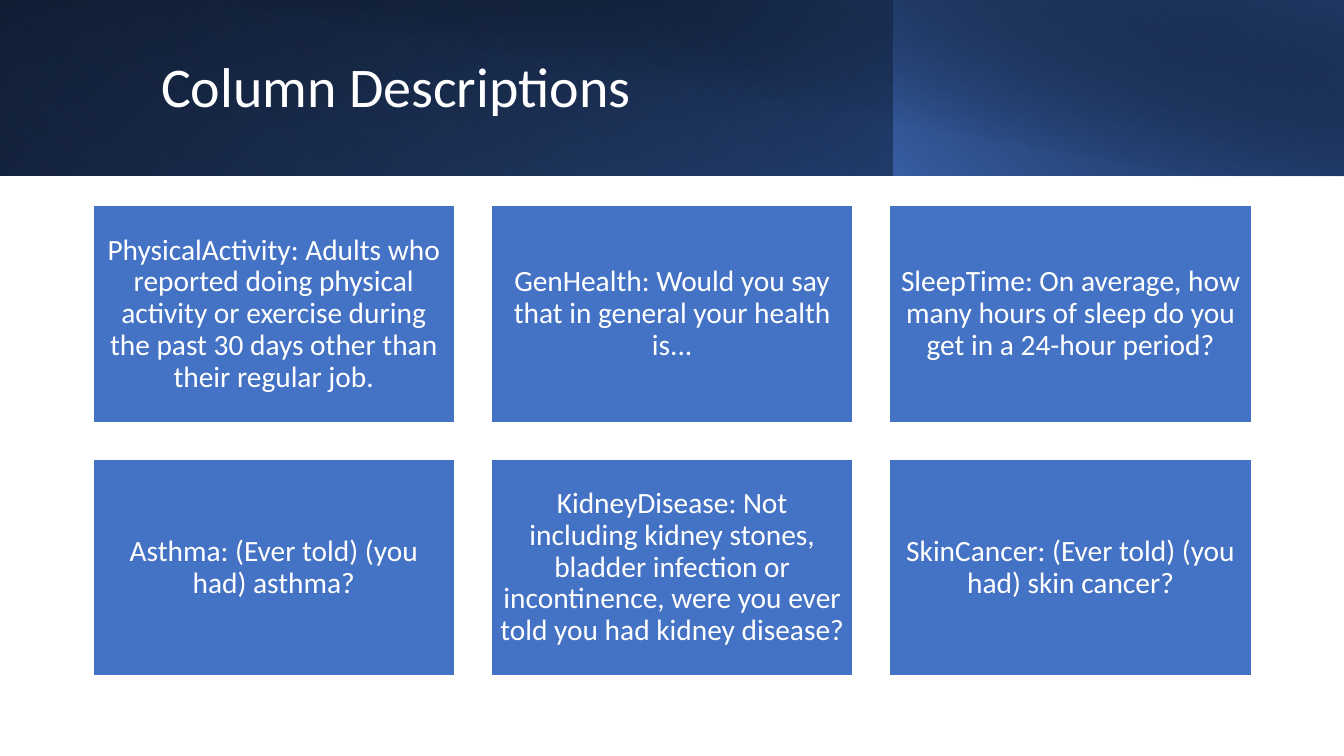
"""Builds the Column Descriptions slide: a gradient banner above six description cards."""
import pptx
import pptx.dml.color
import pptx.enum.shapes
import pptx.enum.text
import pptx.oxml
import pptx.oxml.ns
import pptx.util

Cm = pptx.util.Cm
RGBColor = pptx.dml.color.RGBColor
RECTANGLE = pptx.enum.shapes.MSO_SHAPE.RECTANGLE
ALIGN = pptx.enum.text.PP_ALIGN

WHITE = RGBColor(0xFF, 0xFF, 0xFF)
BLACK = RGBColor(0x00, 0x00, 0x00)
BLUE = RGBColor(0x44, 0x72, 0xC4)
DEEP_BLUE = RGBColor(0x2F, 0x55, 0x97)
NAVY = RGBColor(0x20, 0x38, 0x64)


def add_banner_layer(left, width, height, rotation, flipped, angle, stops):
    layer = slide.shapes.add_shape(RECTANGLE, Cm(left), 0, Cm(width), Cm(height))
    layer.shadow.inherit = False
    layer.line.fill.background()
    layer.rotation = rotation
    if flipped:
        layer._element.spPr.find(pptx.oxml.ns.qn("a:xfrm")).set("flipH", "1")
    layer.fill.gradient()
    layer.fill.gradient_angle = 360 - angle
    for stop, (position, color, opacity) in zip(layer.fill.gradient_stops, stops):
        stop.position = position
        stop.color.rgb = color
        tint = stop._gs.find(pptx.oxml.ns.qn("a:srgbClr"))
        alpha = tint.makeelement(pptx.oxml.ns.qn("a:alpha"), {"val": str(opacity * 1000)})
        tint.append(alpha)


def write_text(frame, text, size, alignment):
    frame.word_wrap = True
    frame.vertical_anchor = pptx.enum.text.MSO_ANCHOR.MIDDLE
    frame.text = text
    paragraph = frame.paragraphs[0]
    paragraph.alignment = alignment
    paragraph.line_spacing = 0.9
    font = paragraph.runs[0].font
    font.name = "Calibri"
    font.size = pptx.util.Pt(size)
    font.color.rgb = WHITE


deck = pptx.Presentation()
deck.slide_width = Cm(33.87)
deck.slide_height = Cm(19.05)
slide = deck.slides.add_slide(deck.slide_layouts[6])

banner_layers = [
    (0, 33.87, 4.43, 0, True, 140, [(0, BLACK, 100), (1, DEEP_BLUE, 100)]),
    (0, 22.54, 4.43, 180, True, 230, [(0.2, BLUE, 0), (1, NAVY, 55)]),
    (22.53, 11.34, 4.43, 0, True, 220, [(0, BLUE, 66), (1, BLACK, 30)]),
    (1.27, 32.6, 4.44, 0, False, 280, [(0.5, BLACK, 0), (0.99, NAVY, 52)]),
]
for banner_layer in banner_layers:
    add_banner_layer(*banner_layer)

title = slide.shapes.add_textbox(Cm(3.81), Cm(0.81), Cm(27.48), Cm(2.87))
write_text(title.text_frame, "Column Descriptions", 40, ALIGN.LEFT)

descriptions = [
    "PhysicalActivity: Adults who reported doing physical activity or exercise "
    "during the past 30 days other than their regular job.",
    "GenHealth: Would you say that in general your health is...",
    "SleepTime: On average, how many hours of sleep do you get in a 24-hour period?",
    "Asthma: (Ever told) (you had) asthma?",
    "KidneyDisease: Not including kidney stones, bladder infection or incontinence, "
    "were you ever told you had kidney disease?",
    "SkinCancer: (Ever told) (you had) skin cancer?",
]
CARD_WIDTH, CARD_HEIGHT, GAP = 9.12, 5.47, 0.92
for index, description in enumerate(descriptions):
    row, column = divmod(index, 3)
    card = slide.shapes.add_shape(
        RECTANGLE,
        Cm(2.34 + column * (CARD_WIDTH + GAP)),
        Cm(5.18 + row * (CARD_HEIGHT + GAP)),
        Cm(CARD_WIDTH),
        Cm(CARD_HEIGHT),
    )
    card.shadow.inherit = False
    card.fill.solid()
    card.fill.fore_color.rgb = BLUE
    card.line.color.rgb = WHITE
    card.line.width = pptx.util.Pt(1)
    frame = card.text_frame
    frame.margin_left = frame.margin_right = Cm(0.22)
    frame.margin_top = frame.margin_bottom = Cm(0.22)
    write_text(frame, description, 21, ALIGN.CENTER)

deck.save("out.pptx")
